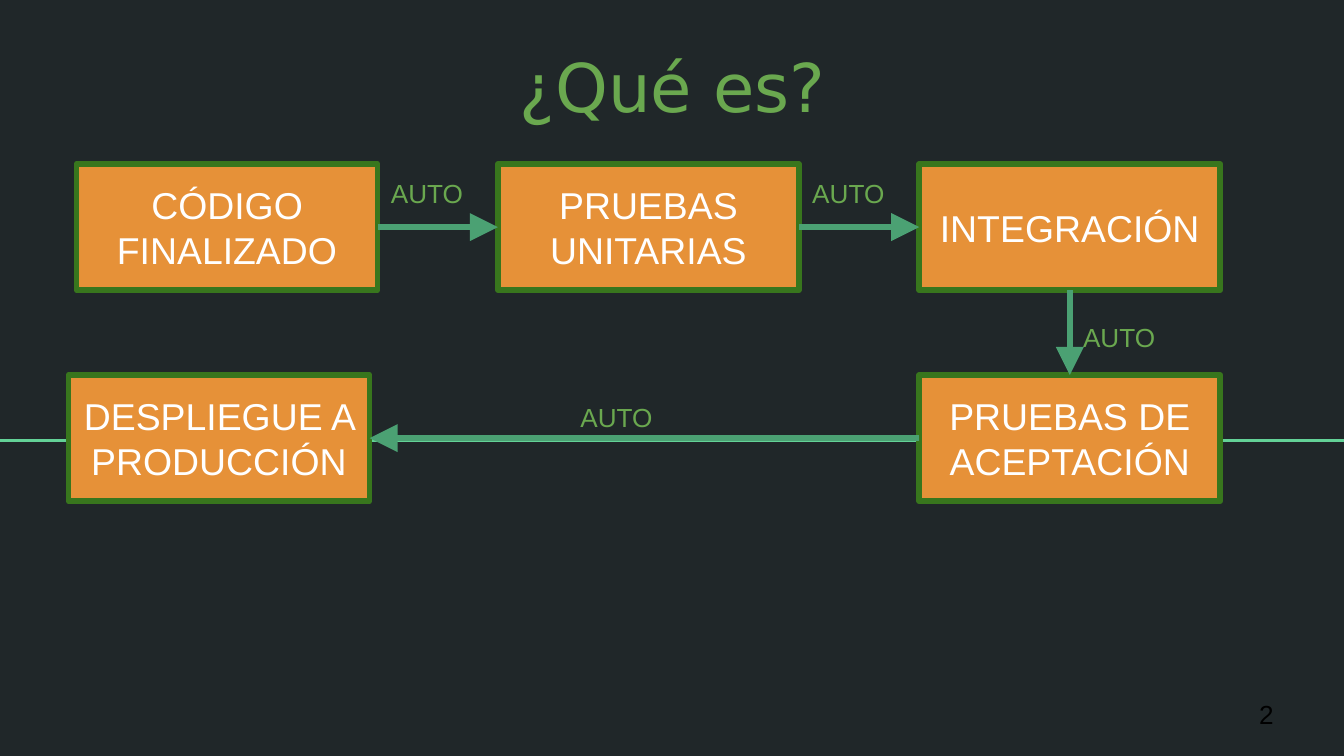
from pptx import Presentation
from pptx.dml.color import RGBColor
from pptx.enum.shapes import MSO_CONNECTOR, MSO_SHAPE
from pptx.enum.text import MSO_ANCHOR, PP_ALIGN
from pptx.oxml.ns import qn
from pptx.util import Inches, Pt
from lxml import etree

BACKGROUND = RGBColor(0x20, 0x27, 0x29)
RULE = RGBColor(0x63, 0xD2, 0x97)
LEAF = RGBColor(0x6A, 0xA8, 0x4F)
ORANGE = RGBColor(0xE6, 0x91, 0x38)
BORDER = RGBColor(0x38, 0x76, 0x1D)
ARROW = RGBColor(0x4B, 0xA1, 0x73)
WHITE = RGBColor(0xFF, 0xFF, 0xFF)
BLACK = RGBColor(0, 0, 0)

TOP, LEFT, BOTTOM, RIGHT = range(4)
STEP_W, STEP_H = 2.24, 0.94
LABEL_H = 0.37


def write(shape, text, size, color, font="Arial", align=PP_ALIGN.LEFT,
          anchor=MSO_ANCHOR.TOP, spacing=None):
    frame = shape.text_frame
    frame.word_wrap = True
    frame.vertical_anchor = anchor
    frame.margin_left = frame.margin_right = Inches(0.1)
    frame.margin_top = frame.margin_bottom = Inches(0.1)
    paragraph = frame.paragraphs[0]
    paragraph.alignment = align
    paragraph.line_spacing = spacing
    run = paragraph.add_run()
    run.text = text
    run.font.name = font
    run.font.size = Pt(size)
    run.font.color.rgb = color


def add_text(slide, box, text, size, color, **style):
    textbox = slide.shapes.add_textbox(*map(Inches, box))
    write(textbox, text, size, color, **style)


def add_line(slide, start, end, color, width):
    line = slide.shapes.add_connector(
        MSO_CONNECTOR.STRAIGHT, *map(Inches, (*start, *end)))
    line.line.color.rgb = color
    line.line.width = Pt(width)
    etree.SubElement(line._element.spPr, qn("a:effectLst"))
    return line


def add_step(slide, left, top, text):
    step = slide.shapes.add_shape(
        MSO_SHAPE.RECTANGLE, *map(Inches, (left, top, STEP_W, STEP_H)))
    step.shadow.inherit = False
    step.fill.solid()
    step.fill.fore_color.rgb = ORANGE
    step.line.color.rgb = BORDER
    step.line.width = Pt(3)
    etree.SubElement(step.line._get_or_add_ln(), qn("a:round"))
    write(step, text, 20, WHITE, align=PP_ALIGN.CENTER, anchor=MSO_ANCHOR.MIDDLE)
    return step


def add_arrow(slide, source, source_side, target, target_side):
    arrow = add_line(slide, (0, 0), (1, 1), ARROW, 3)
    arrow.begin_connect(source, source_side)
    arrow.end_connect(target, target_side)
    etree.SubElement(arrow.line._get_or_add_ln(), qn("a:tailEnd"),
                     type="triangle", w="lg", len="lg")


def add_pipeline(slide, left, top, width, height):
    # Steps: three across the top row, two below
    pitch = (width - STEP_W) / 2
    second, third = left + pitch, left + 2 * pitch
    lower = top + height - STEP_H
    code = add_step(slide, left, top, "CÓDIGO FINALIZADO")
    unit_tests = add_step(slide, second, top, "PRUEBAS UNITARIAS")
    integration = add_step(slide, third, top, "INTEGRACIÓN")
    acceptance = add_step(slide, third, lower, "PRUEBAS DE ACEPTACIÓN")
    deployment = add_step(slide, left - 0.06, lower, "DESPLIEGUE A PRODUCCIÓN")

    # Arrows between consecutive steps
    add_arrow(slide, code, RIGHT, unit_tests, LEFT)
    add_arrow(slide, unit_tests, RIGHT, integration, LEFT)
    add_arrow(slide, integration, BOTTOM, acceptance, TOP)
    add_arrow(slide, acceptance, LEFT, deployment, RIGHT)

    # Arrow labels
    gap = pitch - STEP_W
    for x, y, label_width in (
        (left + STEP_W, top, gap),
        (second + STEP_W, top, gap),
        (third + STEP_W / 2, top + 1.07, gap),
        (left + 3.65, lower + 0.1, 1.2),
    ):
        add_text(slide, (x, y, label_width, LABEL_H), "AUTO", 14, LEAF)


def main():
    prs = Presentation()
    prs.slide_width = Inches(10)
    prs.slide_height = prs.slide_width * 9 // 16
    slide = prs.slides.add_slide(prs.slide_layouts[6])
    slide.background.fill.solid()
    slide.background.fill.fore_color.rgb = BACKGROUND

    # Rule across the slide
    add_line(slide, (0, 3.28), (10, 3.28), RULE, 1.5)
    # Title and page number
    add_text(slide, (1.39, 0.15, 7.23, 0.81), "¿Qué es?", 36, LEAF,
             font="DejaVu Sans", align=PP_ALIGN.CENTER, spacing=1.15)
    add_text(slide, (9.27, 5.1, 0.6, 0.43), "2", 14, BLACK,
             anchor=MSO_ANCHOR.MIDDLE)
    add_pipeline(slide, 0.57, 1.22, 8.51, 2.51)

    prs.save("out.pptx")


if __name__ == "__main__":
    main()
